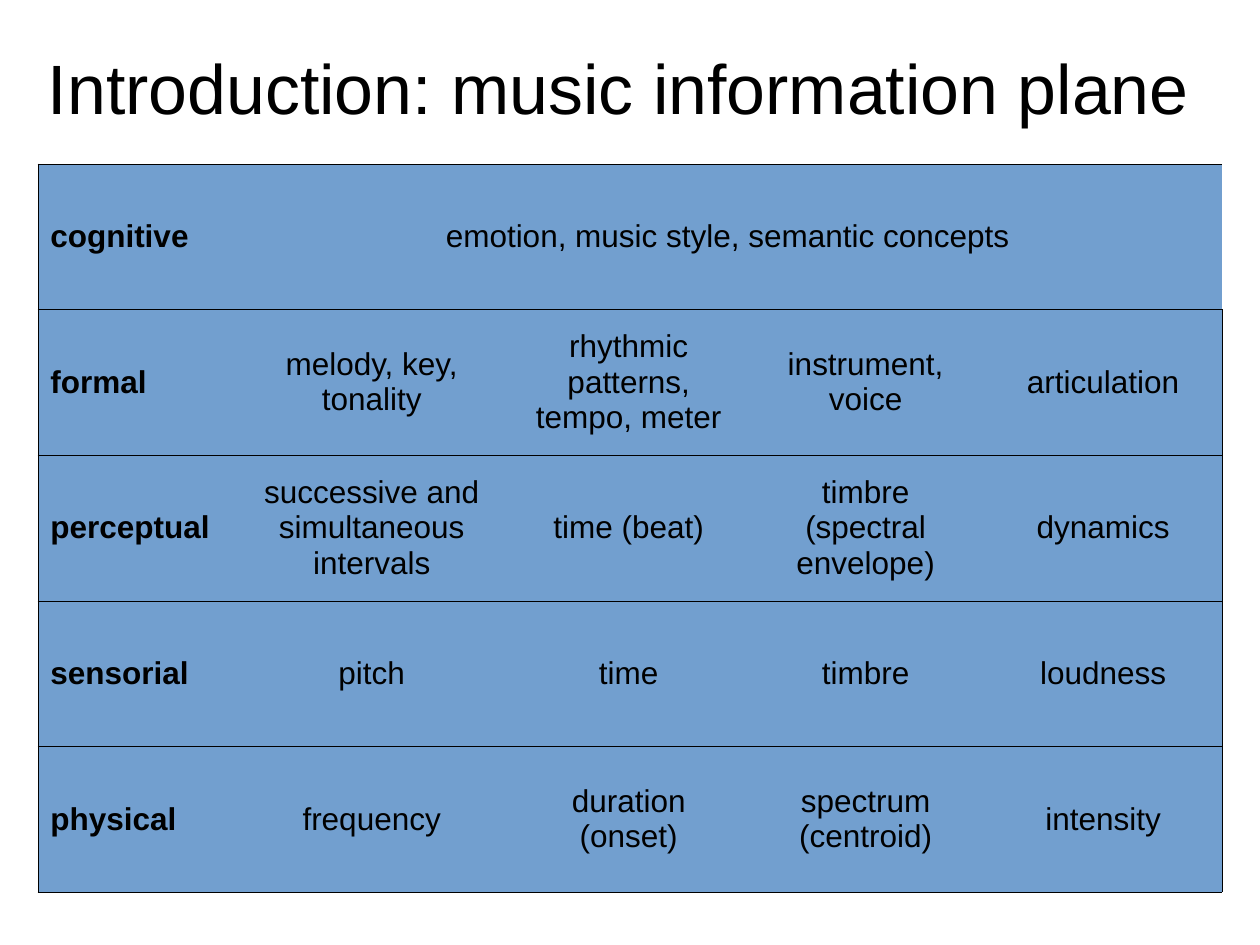
"""Build the music information plane slide: a title above a five-level table."""
import lxml.etree
import pptx
import pptx.dml.color
import pptx.enum.text
import pptx.oxml.ns
import pptx.util

Inches = pptx.util.Inches
Align = pptx.enum.text.PP_ALIGN
Anchor = pptx.enum.text.MSO_ANCHOR

TITLE = "Introduction: music information plane"
LEVELS = [
    ("cognitive", "emotion, music style, semantic concepts"),
    ("formal", "melody, key, tonality", "rhythmic patterns, tempo, meter",
     "instrument, voice", "articulation"),
    ("perceptual", "successive and simultaneous intervals", "time (beat)",
     "timbre (spectral envelope)", "dynamics"),
    ("sensorial", "pitch", "time", "timbre", "loudness"),
    ("physical", "frequency", "duration (onset)", "spectrum (centroid)", "intensity"),
]
COLUMN_WIDTHS = [1.55, 2.2, 1.88, 1.88, 1.89]
ROW_HEIGHT = 1.156
COLORS = {"text": "000000", "line": "000000", "cell": "729FCF"}
FONT = "Arial"
LINE_WIDTH = pptx.util.Pt(0.28)


def rgb(name):
    return pptx.dml.color.RGBColor.from_string(COLORS[name])


def write(frame, text, size, bold=False, align=Align.LEFT):
    frame.text = text
    para = frame.paragraphs[0]
    para.alignment = align
    for span in para.runs:
        span.font.name = FONT
        span.font.size = pptx.util.Pt(size)
        span.font.bold = bold
        span.font.color.rgb = rgb("text")


def set_borders(cell, visible):
    qn = pptx.oxml.ns.qn
    properties = cell._tc.get_or_add_tcPr()
    for side in "LRTB":
        line = lxml.etree.SubElement(properties, qn(f"a:ln{side}"), w=str(LINE_WIDTH))
        if side in visible:
            fill = lxml.etree.SubElement(line, qn("a:solidFill"))
            lxml.etree.SubElement(fill, qn("a:srgbClr"), val=COLORS["line"])
        else:
            lxml.etree.SubElement(line, qn("a:noFill"))


def add_title(slide):
    box = slide.shapes.add_textbox(Inches(0.38), Inches(0.06), Inches(9.42), Inches(1.25))
    frame = box.text_frame
    frame.word_wrap = True
    frame.vertical_anchor = Anchor.MIDDLE
    frame.margin_left = frame.margin_right = frame.margin_top = frame.margin_bottom = 0
    write(frame, TITLE, 39.9)


def add_plane(slide):
    rows, columns = len(LEVELS), len(COLUMN_WIDTHS)
    table = slide.shapes.add_table(
        rows, columns, Inches(0.3), Inches(1.3),
        Inches(sum(COLUMN_WIDTHS)), Inches(rows * ROW_HEIGHT)).table
    table.first_row = table.horz_banding = False
    for column, width in zip(table.columns, COLUMN_WIDTHS):
        column.width = Inches(width)
    for row, level in enumerate(LEVELS):
        table.rows[row].height = Inches(ROW_HEIGHT)
        spans_row = len(level) < columns
        for column in range(columns):
            cell = table.cell(row, column)
            sides = "TB"
            if column == 0:
                sides += "L"
            if column == columns - 1 and not spans_row:
                sides += "R"
            set_borders(cell, sides)
            cell.fill.solid()
            cell.fill.fore_color.rgb = rgb("cell")
            cell.vertical_anchor = Anchor.MIDDLE
            if column < len(level):
                is_label = column == 0
                write(cell.text_frame, level[column], 18, is_label,
                      Align.LEFT if is_label else Align.CENTER)
        if spans_row:
            table.cell(row, len(level) - 1).merge(table.cell(row, columns - 1))


def main():
    deck = pptx.Presentation()
    deck.slide_width, deck.slide_height = Inches(10), Inches(7.5)
    slide = deck.slides.add_slide(deck.slide_layouts[6])
    add_title(slide)
    add_plane(slide)
    deck.save("out.pptx")


if __name__ == "__main__":
    main()
